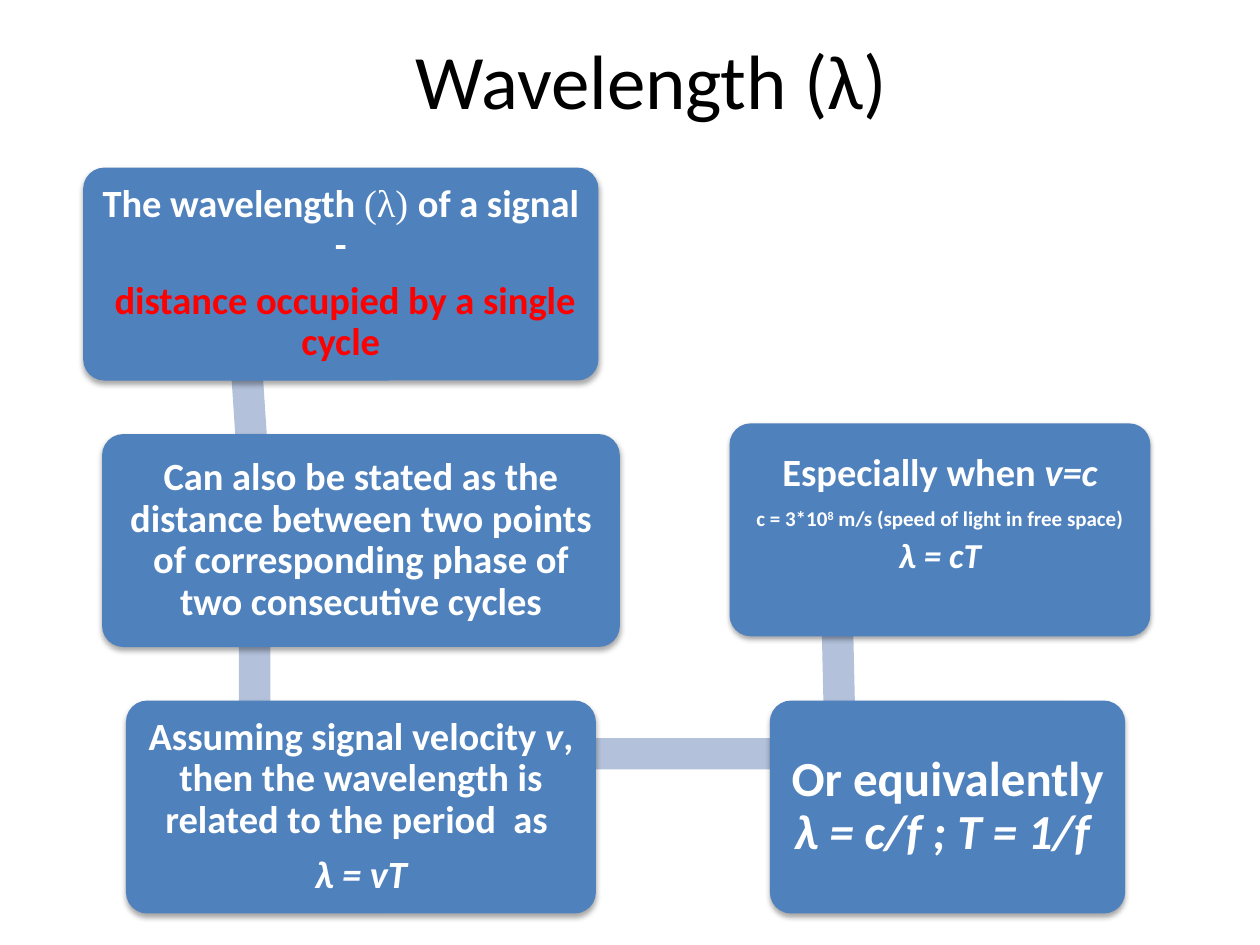
import math
from dataclasses import dataclass
from itertools import pairwise

from lxml import etree
from pptx import Presentation
from pptx.dml.color import RGBColor
from pptx.enum import shapes, text
from pptx.oxml.ns import qn
from pptx.util import Inches, Pt

COLS, ROWS = 100, 75
CELL = Inches(10) / COLS


@dataclass(frozen=True)
class Theme:
    """Colours, fonts and type sizes of the slide."""
    card: str = "4F81BD"
    bar: str = "B3C1DB"
    ink: str = "000000"
    light: str = "FFFFFF"
    accent: str = "FF0000"
    font: str = "Calibri"
    serif: str = "Times New Roman"
    title: int = 44
    large: int = 28
    body: int = 22
    formula: int = 20
    small: int = 12


@dataclass(frozen=True)
class Box:
    """A rectangle in grid columns and rows."""
    x: float
    y: float
    w: float
    h: float

    def emu(self):
        """Return the rectangle in slide units."""
        return [round(v * CELL) for v in (self.x, self.y, self.w, self.h)]


T = Theme()
CARD_H = 16.9
PITCH = 21.15
TOP = 13.3
BAR = 2.5
INSET = 0.9

CARDS = [
    dict(box=Box(6.6, TOP, 40.9, CARD_H), joint=18.8, paras=[
        [("The wavelength ", {}), ("(λ) ", dict(font=T.serif, bold=False)),
         ("of a signal  - ", {})],
        [(" distance occupied by a single cycle", dict(color=T.accent))]]),
    dict(box=Box(8.1, TOP + PITCH, 41.1, CARD_H), joint=20.2, paras=[
        [("Can also be stated as the distance between two points of "
          "corresponding phase of two consecutive cycles", {})]]),
    dict(box=Box(10, TOP + 2 * PITCH, 37.3, CARD_H), joint=20.2, paras=[
        [("Assuming signal velocity ", {}), ("v", dict(italic=True)),
         (", then the wavelength is related to the period  as ", {})],
        [("λ = vT", dict(italic=True))]]),
    dict(box=Box(61.1, TOP + 2 * PITCH, 28.2, CARD_H), joint=66.7, inset=1.2, paras=[
        [("Or equivalently ", dict(size=T.large)),
         ("λ = c/f ; T = 1/f ", dict(size=T.large, italic=True))]]),
    dict(box=Box(57.9, 33.6, 33.4, CARD_H), joint=66.2, foot=2.4, paras=[
        [("Especially when ", {}), ("v=c", dict(italic=True))],
        [("c = 3*10", dict(size=T.small)), ("8", dict(size=T.small, raised=True)),
         (" m/s (speed of light in free space)", dict(size=T.small))],
        [("λ = cT", dict(size=T.formula, italic=True))]]),
]


def add_run(p, words, size=T.body, color=T.light, font=T.font, bold=True,
            italic=False, raised=False):
    """Append formatted text to a paragraph."""
    r = p.add_run()
    r.text = words
    r.font.size, r.font.name = Pt(size), font
    r.font.bold, r.font.italic = bold, italic
    r.font.color.rgb = RGBColor.from_string(color)
    if raised:
        r.font._element.set("baseline", "30000")


def add_block(slide, kind, box, color):
    """Draw a plain filled shape in the given box."""
    sp = slide.shapes.add_shape(kind, *box.emu())
    sp.fill.solid()
    sp.fill.fore_color.rgb = RGBColor.from_string(color)
    sp.line.fill.background()
    sp.shadow.inherit = False
    return sp


def cast_shadow(sp):
    """Give a shape a soft shadow below it."""
    effects = sp._element.spPr.find(qn("a:effectLst"))
    shadow = etree.SubElement(effects, qn("a:outerShdw"), blurRad="40000",
                              dist="23000", dir="5400000", rotWithShape="0")
    color = etree.SubElement(shadow, qn("a:srgbClr"), val=T.ink)
    etree.SubElement(color, qn("a:alpha"), val="35000")


def add_title(slide, box, words):
    """Place the centred slide title in its box."""
    tf = slide.shapes.add_textbox(*box.emu()).text_frame
    tf.word_wrap = True
    tf.vertical_anchor = text.MSO_ANCHOR.MIDDLE
    p = tf.paragraphs[0]
    p.alignment = text.PP_ALIGN.CENTER
    add_run(p, words, size=T.title, color=T.ink, bold=False)


def add_bar(slide, start, end):
    """Lay a flat bar between two grid points."""
    (x1, y1), (x2, y2) = start, end
    length = math.dist(start, end)
    box = Box((x1 + x2 - length) / 2, (y1 + y2 - BAR) / 2, length, BAR)
    sp = add_block(slide, shapes.MSO_SHAPE.RECTANGLE, box, T.bar)
    sp.rotation = math.degrees(math.atan2(y2 - y1, x2 - x1)) % 360


def add_card(slide, box, paras, inset=INSET, foot=0):
    """Draw a rounded card with its paragraphs."""
    sp = add_block(slide, shapes.MSO_SHAPE.ROUNDED_RECTANGLE, box, T.card)
    sp.adjustments[0] = 0.1
    cast_shadow(sp)
    tf = sp.text_frame
    tf.word_wrap = True
    tf.vertical_anchor = text.MSO_ANCHOR.MIDDLE
    tf.margin_left = tf.margin_right = tf.margin_top = round(inset * CELL)
    tf.margin_bottom = round((inset + foot) * CELL)
    for i, runs in enumerate(paras):
        p = tf.add_paragraph() if i else tf.paragraphs[0]
        p.alignment = text.PP_ALIGN.CENTER
        p.line_spacing = 0.9
        p.space_after = Pt(0.35 * runs[0][1].get("size", T.body))
        for words, style in runs:
            add_run(p, words, **style)


def add_flow(slide, cards):
    """Draw the bending chain of cards over its bars."""
    joints = [(c["joint"], c["box"].y + CARD_H / 4) for c in cards]
    for start, end in pairwise(joints):
        add_bar(slide, start, end)
    for card in cards:
        add_card(slide, **{k: v for k, v in card.items() if k != "joint"})


def main():
    """Build and save the slide."""
    prs = Presentation()
    prs.slide_width, prs.slide_height = round(COLS * CELL), round(ROWS * CELL)
    slide = prs.slides.add_slide(prs.slide_layouts[6])
    add_title(slide, Box(6.7, 0, 90, 12.5), "Wavelength (λ)")
    add_flow(slide, CARDS)
    prs.save("out.pptx")


if __name__ == "__main__":
    main()
